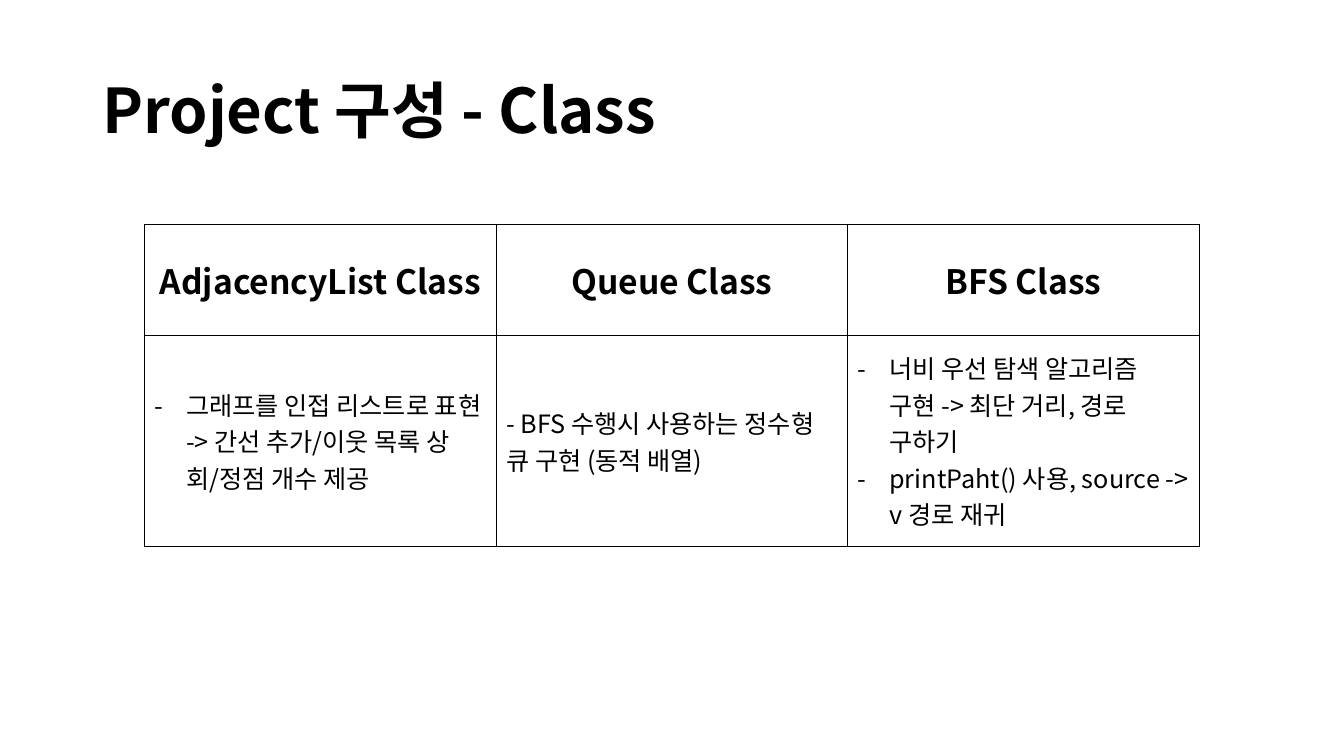
"""Build the slide that lists the classes of the project in a table."""
from dataclasses import dataclass

from lxml.etree import SubElement
from pptx import Presentation
from pptx.dml.color import RGBColor
from pptx.enum.text import MSO_ANCHOR as Anchor, PP_ALIGN as Align
from pptx.oxml.ns import qn
from pptx.slide import Slide
from pptx.table import _Cell as Cell
from pptx.text.text import _Paragraph as Paragraph
from pptx.util import Pt


@dataclass(frozen=True)
class Theme:
    """Colours, font and sizes in points."""
    font: str = "Noto Sans CJK KR"
    ink: str = "000000"
    title_size: float = 44
    heading_size: float = 24
    body_size: float = 18
    border: float = 1
    indent: float = 22.5


@dataclass(frozen=True)
class Box:
    """A rectangle in points."""
    left: float
    top: float
    width: float
    height: float


@dataclass(frozen=True)
class ProjectClass:
    """One table column: a class name and its description."""
    name: str
    lines: tuple[str, ...]
    bulleted: bool = True


THEME = Theme()
SLIDE_SIZE = (960, 540)
TITLE_BOX = Box(66, 28.8, 828, 104.4)
TABLE_BOX = Box(103.2, 160.5, 753.6, 229.6)
ROW_HEIGHTS = (79.2, 150.4)
TITLE = "Project 구성 - Class"
CLASSES = (
    ProjectClass("AdjacencyList Class", (
        "그래프를 인접 리스트로 표현 -> 간선 추가/이웃 목록 상회/정점 개수 제공",)),
    ProjectClass("Queue Class", (
        "- BFS 수행시 사용하는 정수형 큐 구현 (동적 배열)",), bulleted=False),
    ProjectClass("BFS Class", (
        "너비 우선 탐색 알고리즘 구현 -> 최단 거리, 경로 구하기",
        "printPaht() 사용, source -> v 경로 재귀")),
)


def add_text(paragraph: Paragraph, text: str, size: float, bold: bool = False) -> None:
    """Add one run in the theme font for Latin and Korean letters."""
    run = paragraph.add_run()
    run.text = text
    run.font.size = Pt(size)
    run.font.bold = bold
    run.font.color.rgb = RGBColor.from_string(THEME.ink)
    run.font.name = THEME.font
    SubElement(run.font._element, qn("a:ea"), typeface=THEME.font)


def add_dash(paragraph: Paragraph) -> None:
    """Give the paragraph a dash bullet with a hanging indent."""
    properties = paragraph._p.get_or_add_pPr()
    properties.set("marL", str(Pt(THEME.indent)))
    properties.set("indent", str(-Pt(THEME.indent)))
    SubElement(properties, qn("a:buFont"), typeface=THEME.font)
    SubElement(properties, qn("a:buChar"), char="-")


def style_cell(cell: Cell) -> None:
    """Draw all four borders, clear the fill and centre vertically."""
    properties = cell._tc.get_or_add_tcPr()
    for side in ("lnL", "lnR", "lnT", "lnB"):
        line = SubElement(properties, qn(f"a:{side}"), w=str(Pt(THEME.border)))
        fill = SubElement(line, qn("a:solidFill"))
        SubElement(fill, qn("a:srgbClr"), val=THEME.ink)
    cell.fill.background()
    cell.vertical_anchor = Anchor.MIDDLE


def add_title(slide: Slide, box: Box, text: str) -> None:
    """Add the slide title."""
    shape = slide.shapes.add_textbox(
        Pt(box.left), Pt(box.top), Pt(box.width), Pt(box.height))
    frame = shape.text_frame
    frame.word_wrap = True
    frame.vertical_anchor = Anchor.MIDDLE
    paragraph = frame.paragraphs[0]
    paragraph.line_spacing = 0.9
    add_text(paragraph, text, THEME.title_size, bold=True)


def fill_column(heading: Cell, body: Cell, project_class: ProjectClass) -> None:
    """Write the name and the description of one class."""
    style_cell(heading)
    style_cell(body)
    paragraph = heading.text_frame.paragraphs[0]
    paragraph.alignment = Align.CENTER
    add_text(paragraph, project_class.name, THEME.heading_size, bold=True)
    frame = body.text_frame
    for index, line in enumerate(project_class.lines):
        paragraph = frame.add_paragraph() if index else frame.paragraphs[0]
        if project_class.bulleted:
            add_dash(paragraph)
        add_text(paragraph, line, THEME.body_size)


def add_class_table(slide: Slide, box: Box, classes: tuple[ProjectClass, ...]) -> None:
    """Add the table with one equal column for each class."""
    table = slide.shapes.add_table(
        len(ROW_HEIGHTS), len(classes),
        Pt(box.left), Pt(box.top), Pt(box.width), Pt(box.height)).table
    table.first_row = table.horz_banding = False
    for row, height in zip(table.rows, ROW_HEIGHTS):
        row.height = Pt(height)
    for index, project_class in enumerate(classes):
        table.columns[index].width = Pt(box.width / len(classes))
        fill_column(table.cell(0, index), table.cell(1, index), project_class)


def main() -> None:
    """Build and save the presentation."""
    presentation = Presentation()
    presentation.slide_width, presentation.slide_height = map(Pt, SLIDE_SIZE)
    slide = presentation.slides.add_slide(presentation.slide_layouts[6])
    add_title(slide, TITLE_BOX, TITLE)
    add_class_table(slide, TABLE_BOX, CLASSES)
    presentation.save("out.pptx")


if __name__ == "__main__":
    main()
